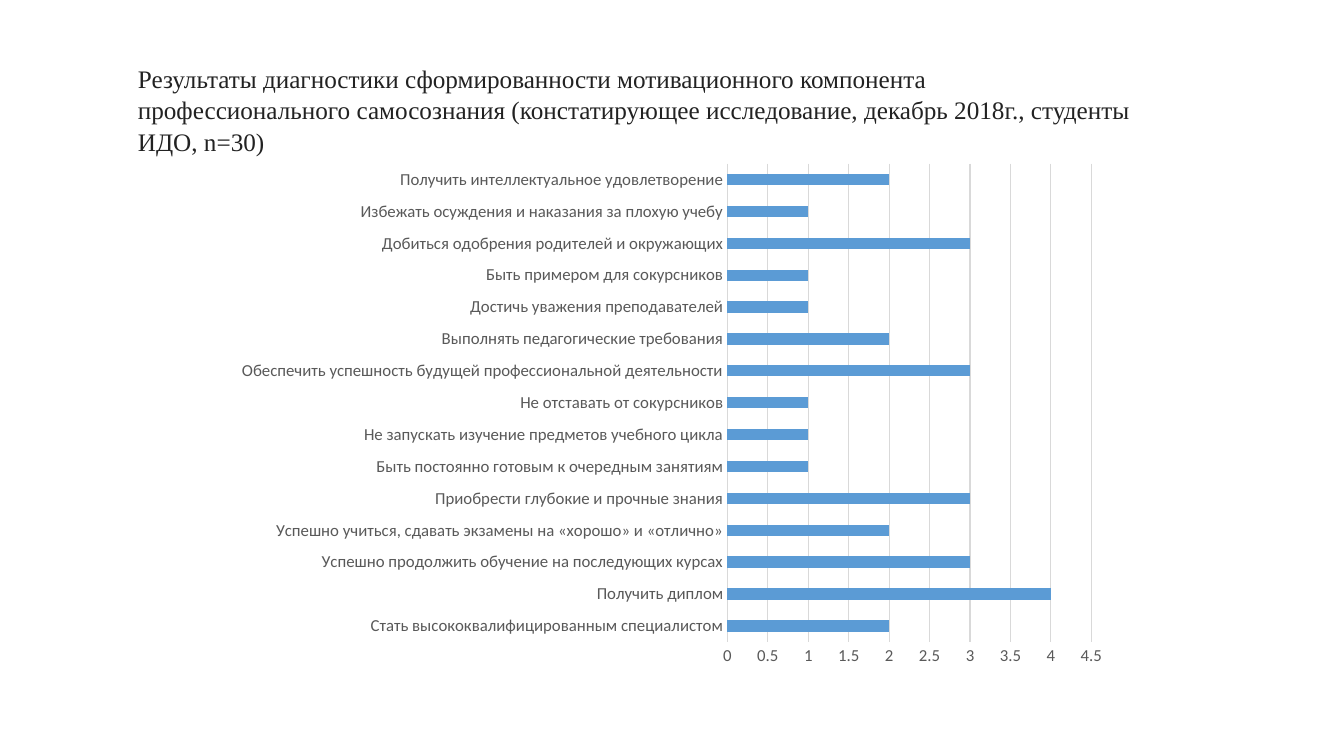
import pptx
import pptx.chart.data
import pptx.dml.color
import pptx.enum.chart
import pptx.enum.text
import pptx.util
from dataclasses import dataclass

Pt = pptx.util.Pt


@dataclass(frozen=True)
class Theme:
    """Colours, fonts and type sizes of the slide."""
    title_color: str = "222222"
    label_color: str = "595959"
    grid_color: str = "D9D9D9"
    bar_color: str = "5B9BD5"
    title_font: str = "Times New Roman"
    chart_font: str = "Calibri"
    title_size: float = 18
    label_size: float = 12
    chart_size: float = 10
    line_width: float = 0.75


THEME = Theme()

TITLE = ("Результаты диагностики сформированности мотивационного компонента "
         "профессионального самосознания (констатирующее исследование, "
         "декабрь 2018г., студенты ИДО, n=30)")

MOTIVES = [
    ("Стать высококвалифицированным специалистом", 2),
    ("Получить диплом", 4),
    ("Успешно продолжить обучение на последующих курсах", 3),
    ("Успешно учиться, сдавать экзамены на «хорошо» и «отлично»", 2),
    ("Приобрести глубокие и прочные знания", 3),
    ("Быть постоянно готовым к очередным занятиям", 1),
    ("Не запускать изучение предметов учебного цикла", 1),
    ("Не отставать от сокурсников", 1),
    ("Обеспечить успешность будущей профессиональной деятельности", 3),
    ("Выполнять педагогические требования", 2),
    ("Достичь уважения преподавателей", 1),
    ("Быть примером для сокурсников", 1),
    ("Добиться одобрения родителей и окружающих", 3),
    ("Избежать осуждения и наказания за плохую учебу", 1),
    ("Получить интеллектуальное удовлетворение", 2),
]


def set_font(font, name, size, color):
    """Set the face, size and colour of a font."""
    font.name = name
    font.size = Pt(size)
    font.color.rgb = pptx.dml.color.RGBColor.from_string(color)


def set_line(line):
    """Give a chart line the thin grid style."""
    line.width = Pt(THEME.line_width)
    line.color.rgb = pptx.dml.color.RGBColor.from_string(THEME.grid_color)


def add_title(s, text, left, top, width, height):
    """Add the wrapped heading text box."""
    tf = s.shapes.add_textbox(Pt(left), Pt(top), Pt(width), Pt(height)).text_frame
    tf.word_wrap = True
    tf.auto_size = pptx.enum.text.MSO_AUTO_SIZE.SHAPE_TO_FIT_TEXT
    p = tf.paragraphs[0]
    p.text = text
    p.line_spacing = 1.05
    set_font(p.font, THEME.title_font, THEME.title_size, THEME.title_color)


def style_axis(axis):
    """Remove tick marks and set the label font of an axis."""
    axis.major_tick_mark = pptx.enum.chart.XL_TICK_MARK.NONE
    axis.minor_tick_mark = pptx.enum.chart.XL_TICK_MARK.NONE
    set_font(axis.tick_labels.font, THEME.chart_font, THEME.label_size,
             THEME.label_color)


def add_bar_chart(s, rows, left, top, width, height):
    """Add a one-series horizontal bar chart of (label, value) rows."""
    data = pptx.chart.data.CategoryChartData()
    data.categories = [label for label, _ in rows]
    data.add_series("Series 1", [value for _, value in rows])
    chart = s.shapes.add_chart(
        pptx.enum.chart.XL_CHART_TYPE.BAR_CLUSTERED,
        Pt(left), Pt(top), Pt(width), Pt(height), data).chart
    chart.has_legend = False
    chart.has_title = False
    set_font(chart.font, THEME.chart_font, THEME.chart_size, "000000")

    plot = chart.plots[0]
    plot.gap_width = 182
    plot.vary_by_categories = False
    fill = plot.series[0].format.fill
    fill.solid()
    fill.fore_color.rgb = pptx.dml.color.RGBColor.from_string(THEME.bar_color)

    style_axis(chart.category_axis)
    set_line(chart.category_axis.format.line)
    values = chart.value_axis
    style_axis(values)
    values.minimum_scale, values.maximum_scale, values.major_unit = 0, 4.5, 0.5
    values.format.line.fill.background()
    values.has_major_gridlines = True
    set_line(values.major_gridlines.format.line)


def main():
    """Build the slide and save it."""
    prs = pptx.Presentation()
    prs.slide_width, prs.slide_height = Pt(960), Pt(540)
    s = prs.slides.add_slide(prs.slide_layouts[6])
    add_title(s, TITLE, 91.4, 40.3, 726.5, 72.7)
    add_bar_chart(s, MOTIVES, 160, 109.4, 640, 373.7)
    prs.save("out.pptx")


main()
